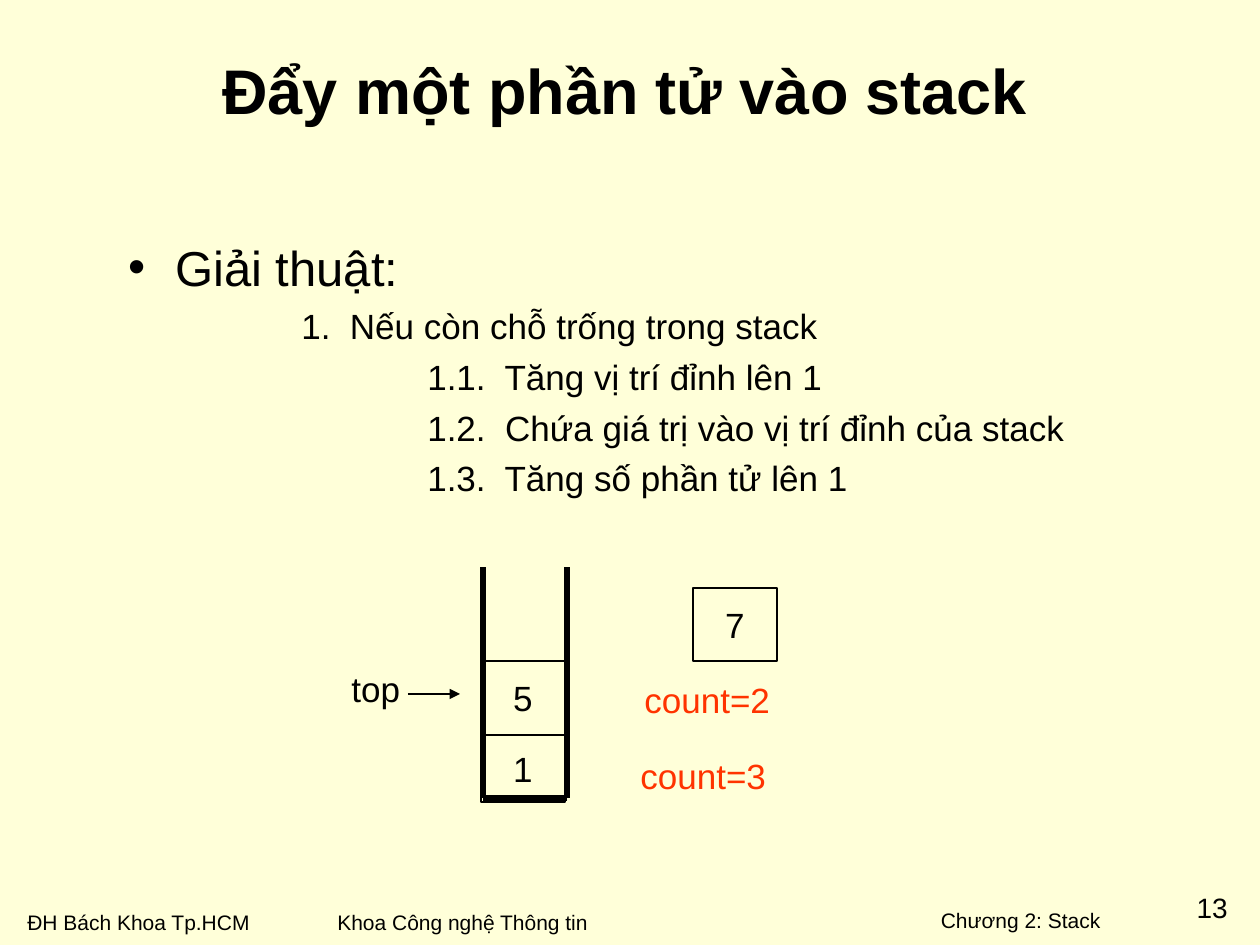
from pptx import Presentation
from pptx.dml.color import RGBColor
from pptx.enum.shapes import MSO_CONNECTOR as CONN, MSO_SHAPE as SHAPE
from pptx.enum.text import MSO_ANCHOR as ANCHOR, PP_ALIGN as ALIGN
from pptx.oxml.ns import qn
from pptx.util import Emu, Pt
from lxml.etree import SubElement

BLACK = RGBColor(0x00, 0x00, 0x00)
RED = RGBColor(0xFF, 0x33, 0x00)
CREAM = RGBColor(0xFF, 0xFF, 0xD9)


def px(n):
    return Emu(round(n * 914400 / 126))


class Deck:
    font = "Arial"

    def __init__(self, width, height):
        self.prs = Presentation()
        self.prs.slide_width, self.prs.slide_height = px(width), px(height)

    def new_slide(self, color):
        self.s = self.prs.slides.add_slide(self.prs.slide_layouts[6])
        fill = self.s.background.fill
        fill.solid()
        fill.fore_color.rgb = color

    def style(self, p, size, color=BLACK, bold=False, align=ALIGN.LEFT, before=0):
        p.alignment = align
        p.space_before = Pt(before)
        for r in p.runs:
            r.font.name = self.font
            r.font.size = Pt(size)
            r.font.bold = bold
            r.font.color.rgb = color

    def text(self, x, y, w, h, text, size, wrap=False, anchor=ANCHOR.TOP, **style):
        tf = self.s.shapes.add_textbox(px(x), px(y), px(w), px(h)).text_frame
        tf.word_wrap = wrap
        tf.vertical_anchor = anchor
        tf.text = text
        self.style(tf.paragraphs[0], size, **style)
        return tf

    def outline(self, x, y, w, h, items):
        """Items are (text, size, space before, left indent, bullet)."""
        tf = self.s.shapes.add_textbox(px(x), px(y), px(w), px(h)).text_frame
        tf.word_wrap = True
        for i, (text, size, before, indent, bullet) in enumerate(items):
            p = tf.add_paragraph() if i else tf.paragraphs[0]
            p.text = text
            self.style(p, size, before=before)
            pPr = p._p.get_or_add_pPr()
            pPr.set("marL", str(px(indent)))
            if bullet:
                pPr.set("indent", str(-px(indent)))
                SubElement(pPr, qn("a:buFont"), typeface=self.font)
                SubElement(pPr, qn("a:buChar"), char=bullet)

    def cell(self, x, y, w, h, text):
        sp = self.s.shapes.add_shape(SHAPE.RECTANGLE, px(x), px(y), px(w), px(h))
        sp.shadow.inherit = False
        sp.fill.background()
        sp.line.color.rgb = BLACK
        sp.line.width = Pt(0.75)
        tf = sp.text_frame
        tf.vertical_anchor = ANCHOR.MIDDLE
        tf.text = text
        self.style(tf.paragraphs[0], 20, align=ALIGN.CENTER, before=12.5)

    def line(self, x1, y1, x2, y2, width, arrow=False):
        c = self.s.shapes.add_connector(CONN.STRAIGHT, px(x1), px(y1), px(x2), px(y2))
        c.line.color.rgb = BLACK
        c.line.width = Pt(width)
        if arrow:
            SubElement(c.line._get_or_add_ln(), qn("a:tailEnd"), type="triangle")
        SubElement(c._element.spPr, qn("a:effectLst"))


def main():
    deck = Deck(1260, 945)
    deck.new_slide(CREAM)

    # Footer
    deck.text(15, 903, 248, 38, "ĐH Bách Khoa Tp.HCM", 12)
    deck.text(325, 903, 276, 38, "Khoa Công nghệ Thông tin", 12)
    deck.text(399, 901, 714, 38, "Chương 2: Stack", 12, wrap=True, align=ALIGN.RIGHT)
    number = deck.text(1185, 891, 54, 34, "13", 16, wrap=True, align=ALIGN.CENTER)
    number.margin_left = number.margin_right = 0
    number.margin_top = number.margin_bottom = 0

    # Title
    deck.text(116, 10, 1018, 158, "Đẩy một phần tử vào stack", 36, wrap=True,
              anchor=ANCHOR.MIDDLE, bold=True, align=ALIGN.CENTER)

    # Algorithm
    bullet_indent, tab = 47, 126
    step, substep = bullet_indent + tab, bullet_indent + 2 * tab
    deck.outline(116, 231, 1124, 640, [
        ("Giải thuật:", 28, 7, bullet_indent, "•"),
        ("1.  Nếu còn chỗ trống trong stack", 20, 5, step, None),
        ("1.1.  Tăng vị trí đỉnh lên 1", 20, 5, substep, None),
        ("1.2.  Chứa giá trị vào vị trí đỉnh của stack", 20, 5, substep, None),
        ("1.3.  Tăng số phần tử lên 1", 20, 5, substep, None),
    ])

    # Pointer to the top element
    deck.text(339, 661, 80, 55, "top", 20)
    deck.line(408, 694, 460, 694, 0.75, arrow=True)

    # Stack walls
    left, right, top, bottom = 483, 567, 567, 798
    deck.line(left, bottom, right, bottom, 3)
    for x in (right, left):
        deck.line(x, bottom, x, top, 3)

    # Stack elements and the new one
    deck.cell(481, 735, 84, 67, "1")
    deck.cell(481, 661, 84, 74, "5")
    deck.cell(693, 588, 84, 73, "7")

    # Counters
    deck.text(632, 672, 152, 55, "count=2", 20, color=RED)
    deck.text(628, 748, 152, 55, "count=3", 20, color=RED)

    deck.prs.save("out.pptx")


if __name__ == "__main__":
    main()
